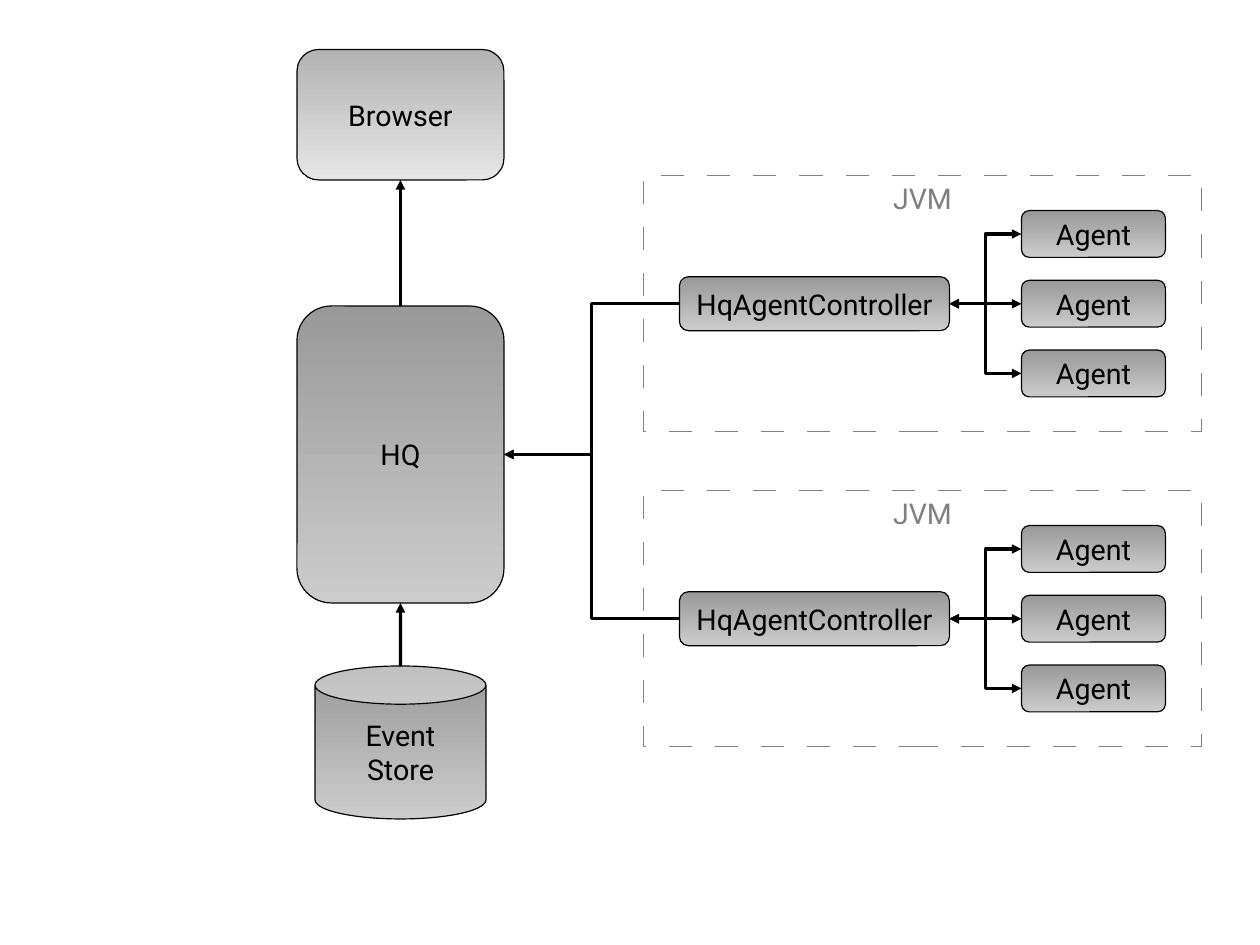
from lxml import etree
from pptx import Presentation
from pptx.dml.color import RGBColor
from pptx.enum.shapes import MSO_CONNECTOR, MSO_SHAPE
from pptx.enum.text import MSO_ANCHOR, PP_ALIGN
from pptx.oxml.ns import qn
from pptx.util import Cm, Pt

ROUND = MSO_SHAPE.ROUNDED_RECTANGLE
CAN = MSO_SHAPE.CAN
RECT = MSO_SHAPE.RECTANGLE
STRAIGHT = MSO_CONNECTOR.STRAIGHT
ELBOW = MSO_CONNECTOR.ELBOW
CENTER = PP_ALIGN.CENTER
TOP_TEXT = MSO_ANCHOR.TOP
MIDDLE = MSO_ANCHOR.MIDDLE
TOP, LEFT, BOTTOM, RIGHT = range(4)
BLACK, GREY, WHITE = "000000", "808080", "FFFFFF"
DARK = ("999999", "CCCCCC")
LIGHT = ("B3B3B3", "E6E6E6")


def color(value):
    return RGBColor.from_string(value)


def add_box(slide, kind, text, box, ink=BLACK, anchor=MIDDLE):
    shape = slide.shapes.add_shape(kind, *map(Cm, box))
    shape.shadow.inherit = False
    shape.line.color.rgb = color(ink)
    shape.line.width = Pt(0)
    frame = shape.text_frame
    frame.vertical_anchor = anchor
    frame.text = text
    for para in frame.paragraphs:
        para.alignment = CENTER
        para.font.name = "Roboto"
        para.font.size = Pt(18)
        para.font.color.rgb = color(ink)
    return shape


def add_node(slide, kind, text, box, shades=DARK):
    node = add_box(slide, kind, text, box)
    node.fill.gradient()
    node.fill.gradient_angle = 270
    for stop, shade in zip(node.fill.gradient_stops, shades):
        stop.color.rgb = color(shade)
    return node


def add_frame(slide, text, box):
    frame = add_box(slide, RECT, text, box, GREY, TOP_TEXT)
    frame.fill.solid()
    frame.fill.fore_color.rgb = color(WHITE)
    line = frame.line._get_or_add_ln()
    dash = etree.SubElement(line, qn("a:custDash"))
    etree.SubElement(dash, qn("a:ds"), d="1970000", sp="1970000")


def link(slide, kind, start, side, end, goal, tips=("tailEnd",)):
    mid = start.left + start.width // 2
    wire = slide.shapes.add_connector(kind, mid, start.top, mid, start.top)
    if side is not None:
        wire.begin_connect(start, side)
    wire.end_connect(end, goal)
    wire.line.color.rgb = color(BLACK)
    wire.line.width = Pt(0)
    line = wire.line._get_or_add_ln()
    for tip in tips:
        etree.SubElement(line, qn(f"a:{tip}"), type="triangle")
    etree.SubElement(wire._element.spPr, qn("a:effectLst"))


def add_server(slide, box):
    x, y, w, h = box
    hub = add_node(slide, ROUND, "HQ", (x, y + 5.7, w, 6.6))
    store = add_node(slide, CAN, "Event\nStore", (x + 0.4, y + 13.7, w - 0.8, h - 13.7))
    view = add_node(slide, ROUND, "Browser", (x, y, w, 2.9), LIGHT)
    link(slide, STRAIGHT, store, None, hub, BOTTOM)
    link(slide, STRAIGHT, hub, TOP, view, BOTTOM)
    return hub


def add_jvm(slide, box, hub):
    x, y, w, h = box
    mid = y + h / 2
    add_frame(slide, "JVM", box)
    control = add_node(slide, ROUND, "HqAgentController", (x + 0.8, mid - 0.6, 6, 1.2))
    for step in (-1, 0, 1):
        top = mid + step * 1.55 - 0.52
        agent = add_node(slide, ROUND, "Agent", (x + w - 4, top, 3.2, 1.04))
        kind = ELBOW if step else STRAIGHT
        link(slide, kind, agent, LEFT, control, RIGHT, ("headEnd", "tailEnd"))
    link(slide, ELBOW, control, LEFT, hub, RIGHT)


def main():
    deck = Presentation()
    deck.slide_width, deck.slide_height = Cm(28), Cm(21)
    slide = deck.slides.add_slide(deck.slide_layouts[6])
    hub = add_server(slide, (6.6, 1.1, 4.6, 17.1))
    for top in (3.9, 10.9):
        add_jvm(slide, (14.3, top, 12.4, 5.7), hub)
    deck.save("out.pptx")


if __name__ == "__main__":
    main()
